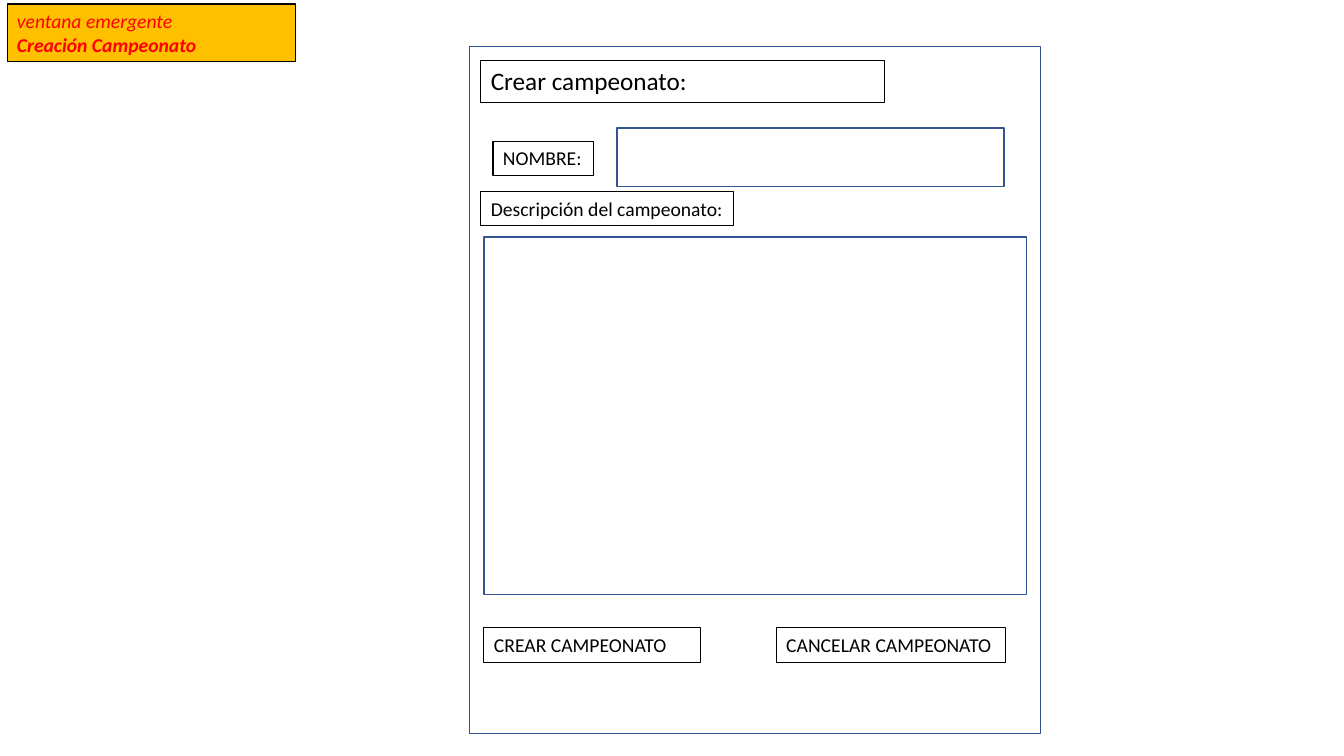
from dataclasses import dataclass

from pptx import Presentation
from pptx.dml.color import RGBColor
from pptx.enum.shapes import MSO_SHAPE
from pptx.enum.text import MSO_ANCHOR, MSO_AUTO_SIZE
from pptx.util import Emu, Pt

PX = 9144


@dataclass(frozen=True)
class Theme:
    font: str = "Calibri"
    ink: str = "000000"
    paper: str = "FFFFFF"
    frame: str = "325491"
    note_fill: str = "FFC000"
    note_ink: str = "FF0000"
    title_size: int = 18
    body_size: int = 14
    label_line: float = 0.75
    frame_line: float = 1


class Wireframe:
    """Draws the form's frames and labels on one page."""

    def __init__(self, page, theme):
        self.page, self.theme = page, theme

    def outline(self, box, color, width, fill=None):
        box.line.color.rgb = RGBColor.from_string(color)
        box.line.width = Pt(width)
        if fill:
            box.fill.solid()
            box.fill.fore_color.rgb = RGBColor.from_string(fill)
        else:
            box.fill.background()

    def frame(self, *place):
        lengths = [Emu(value * PX) for value in place]
        box = self.page.shapes.add_shape(MSO_SHAPE.RECTANGLE, *lengths)
        box.shadow.inherit = False
        self.outline(box, self.theme.frame, self.theme.frame_line)

    def label(self, place, lines, fill=None, color=None, size=None,
              anchor=MSO_ANCHOR.TOP, styles=({},)):
        box = self.page.shapes.add_textbox(*[Emu(value * PX) for value in place])
        self.outline(box, self.theme.ink, self.theme.label_line, fill)
        text = box.text_frame
        layout = {"word_wrap": True, "vertical_anchor": anchor,
                  "auto_size": MSO_AUTO_SIZE.SHAPE_TO_FIT_TEXT}
        for name, value in layout.items():
            setattr(text, name, value)
        text.text = "\n".join(lines)
        for para, style in zip(text.paragraphs, styles):
            span = para.runs[0]
            span.font.color.rgb = RGBColor.from_string(color or self.theme.ink)
            values = {"name": self.theme.font,
                      "size": Pt(size or self.theme.body_size), **style}
            for name, value in values.items():
                setattr(span.font, name, value)


def main():
    theme = Theme()
    deck = Presentation()
    deck.slide_width, deck.slide_height = Emu(1333 * PX), Emu(750 * PX)
    form = Wireframe(deck.slides.add_slide(deck.slide_layouts[6]), theme)

    form.label((489, 140, 100, 34), ["NOMBRE:"])
    form.frame(612, 127, 384, 58)
    form.frame(466, 46, 566, 682)
    form.label((477, 60, 400, 42), ["Crear campeonato:"],
               fill=theme.paper, size=theme.title_size)
    form.frame(480, 235, 538, 355)
    form.label((477, 190, 251, 34), ["Descripción del campeonato:"],
               fill=theme.paper)
    form.label((7, 4, 286, 57), ["ventana emergente", "Creación Campeonato"],
               fill=theme.note_fill, color=theme.note_ink,
               styles=({"italic": True}, {"italic": True, "bold": True}))
    buttons = ((480, 215, "CREAR CAMPEONATO"), (770, 227, "CANCELAR CAMPEONATO"))
    for left, width, caption in buttons:
        form.label((left, 623, width, 34), [caption], anchor=MSO_ANCHOR.MIDDLE)

    deck.save("out.pptx")


if __name__ == "__main__":
    main()
